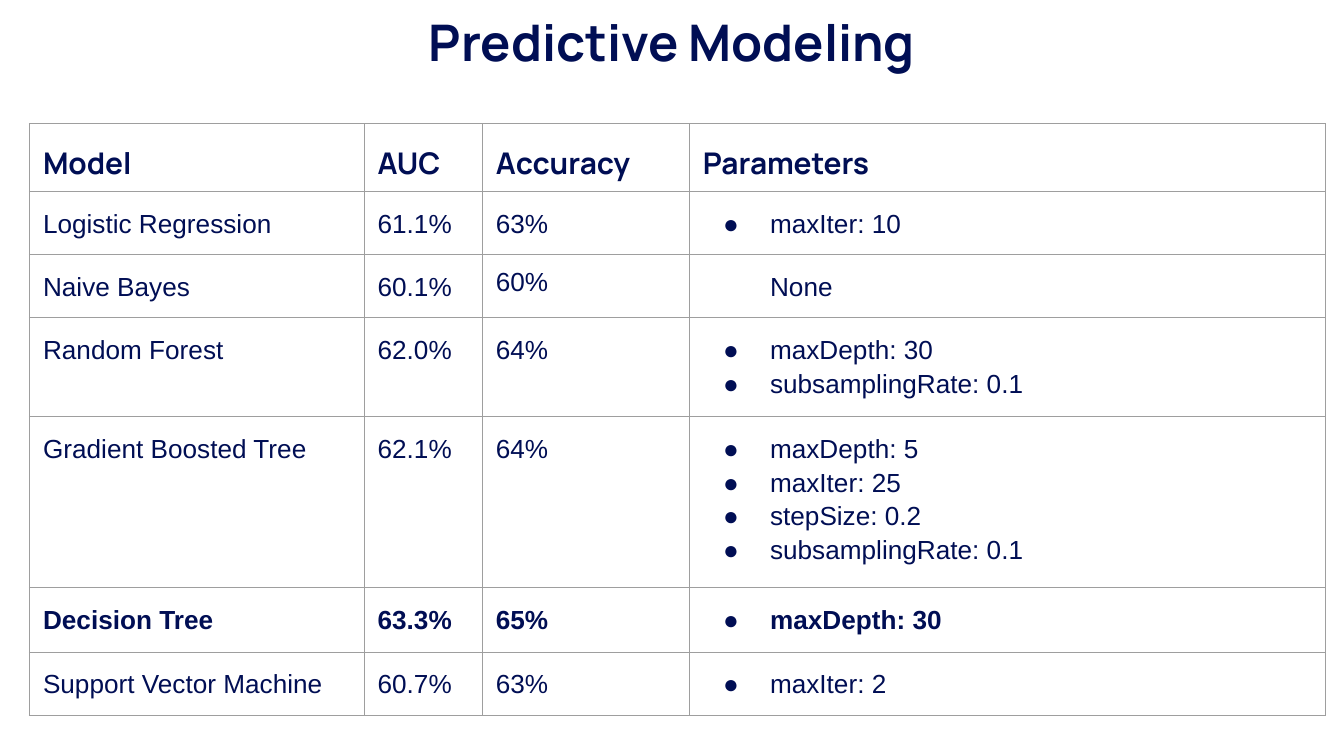
from lxml import etree
from pptx import Presentation
from pptx import util as u
from pptx.dml.color import RGBColor
from pptx.enum import text
from pptx.oxml.ns import qn

THEME = {
    "paper": RGBColor.from_string("FFFFFF"),
    "ink": RGBColor.from_string("000E54"),
    "rule": "9E9E9E",
    "title": {"name": "Manrope", "size": u.Pt(27), "bold": True},
    "head": {"name": "Manrope", "size": u.Pt(16), "bold": True},
    "body": {"name": "Arial", "size": u.Pt(14), "bold": False},
    "best": {"name": "Arial", "size": u.Pt(14), "bold": True},
}
INSET = u.Inches(0.1)
MARGINS = {f"margin_{side}": INSET for side in ("left", "top", "right", "bottom")}
COLS = [2.49, 0.88, 1.54, 4.73]
ROWS = [0.44, 0.41, 0.41, 0.66, 1.16, 0.48, 0.32]
HEADER = ["Model", "AUC", "Accuracy", "Parameters"]
MODELS = [
    ("Logistic Regression", "61.1%", "63%", ["maxIter: 10"]),
    ("Naive Bayes", "60.1%", "60%", ["None"]),
    ("Random Forest", "62.0%", "64%", ["maxDepth: 30", "subsamplingRate: 0.1"]),
    ("Gradient Boosted Tree", "62.1%", "64%",
     ["maxDepth: 5", "maxIter: 25", "stepSize: 0.2", "subsamplingRate: 0.1"]),
    ("Decision Tree", "63.3%", "65%", ["maxDepth: 30"]),
    ("Support Vector Machine", "60.7%", "63%", ["maxIter: 2"]),
]
BEST = "Decision Tree"


def write(p, words, style):
    r = p.add_run()
    r.text = words
    for key, value in THEME[style].items():
        setattr(r.font, key, value)
    r.font.color.rgb = THEME["ink"]


def indent(p, bullet):
    pPr = p._p.get_or_add_pPr()
    pPr.set("marL", str(u.Inches(0.5)))
    pPr.set("indent", str(u.Inches(-0.35 if bullet else 0)))
    if bullet:
        color = etree.SubElement(pPr, qn("a:buClr"))
        etree.SubElement(color, qn("a:srgbClr"), val=str(THEME["ink"]))
        etree.SubElement(pPr, qn("a:buFont"), typeface="Arial")
        etree.SubElement(pPr, qn("a:buChar"), char="●")


# Widescreen slide, 16:9
prs = Presentation()
prs.slide_width = u.Inches(10)
prs.slide_height = prs.slide_width * 9 // 16
s = prs.slides.add_slide(prs.slide_layouts[6])
s.background.fill.solid()
s.background.fill.fore_color.rgb = THEME["paper"]

# Title
tf = s.shapes.add_textbox(0, 0, prs.slide_width, u.Inches(0.69)).text_frame
for key, value in {**MARGINS, "margin_top": u.Inches(0.08), "word_wrap": True,
                   "vertical_anchor": text.MSO_ANCHOR.TOP}.items():
    setattr(tf, key, value)
tf.paragraphs[0].alignment = text.PP_ALIGN.CENTER
write(tf.paragraphs[0], "Predictive Modeling", "title")

# Table grid
frame = s.shapes.add_table(len(ROWS), len(COLS), u.Inches(0.22), u.Inches(0.92),
                           u.Inches(sum(COLS)), u.Inches(sum(ROWS)))
table = frame.table
table.first_row = table.horz_banding = False
for column, width in zip(table.columns, COLS):
    column.width = u.Inches(width)
for row, height in zip(table.rows, ROWS):
    row.height = u.Inches(height)
frame.height = u.Inches(4.26)  # the text makes some rows taller than their minimum

# Cells: text first, then borders and fill
for i, values in enumerate([HEADER, *MODELS]):
    style = "head" if i == 0 else "best" if values[0] == BEST else "body"
    for j, value in enumerate(values):
        cell = table.cell(i, j)
        for key, margin in MARGINS.items():
            setattr(cell, key, margin)
        tf = cell.text_frame
        lines = value if isinstance(value, list) else [value]
        for n, line in enumerate(lines):
            p = tf.paragraphs[0] if n == 0 else tf.add_paragraph()
            if line != "60%":  # this one score is set with single spacing
                p.line_spacing = 1.15
            if isinstance(value, list):
                indent(p, line != "None")
            write(p, line, style)
        tcPr = cell._tc.get_or_add_tcPr()
        for side in ("L", "R", "T", "B"):
            ln = etree.SubElement(tcPr, qn(f"a:ln{side}"), w=str(u.Pt(0.75)))
            fill = etree.SubElement(ln, qn("a:solidFill"))
            etree.SubElement(fill, qn("a:srgbClr"), val=THEME["rule"])
        cell.fill.background()

prs.save("out.pptx")
